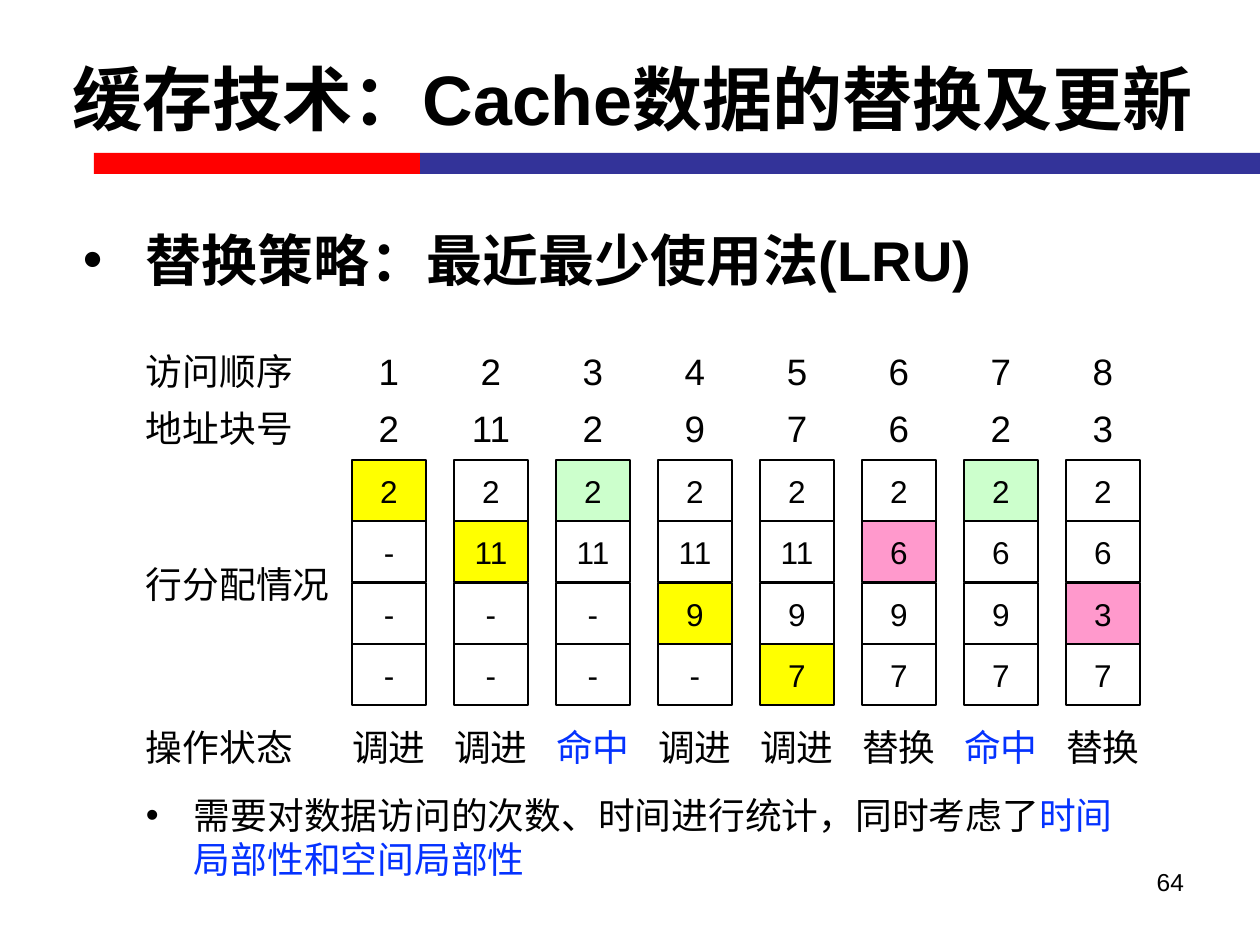
from lxml.etree import SubElement
from pptx import Presentation
from pptx.dml.color import RGBColor
from pptx.enum.shapes import MSO_SHAPE
from pptx.enum.text import MSO_ANCHOR, PP_ALIGN
from pptx.oxml.ns import qn
from pptx.util import Emu, Pt

BLACK, WHITE, BLUE = "000000", "FFFFFF", "0432FF"
YELLOW, GREEN, PINK = "FFFF00", "CCFFCC", "FF99CC"
CJK = "Noto Sans CJK SC"
LABEL = dict(size=21, insets=(0, 3, 0, 0), spacing=25.2)

# Offsets of the rows from the top of the diagram
ORDER_Y, BLOCK_Y, LINES_Y, LINES_LABEL_Y, STATE_Y = 0, 57, 114, 213, 376
ROW_H = 44

# Block number, cache lines, index of the line touched, its fill, state
STEPS = [
    ("2", "2 - - -", 0, YELLOW, "调进"),
    ("11", "2 11 - -", 1, YELLOW, "调进"),
    ("2", "2 11 - -", 0, GREEN, "命中"),
    ("9", "2 11 9 -", 2, YELLOW, "调进"),
    ("7", "2 11 9 7", 3, YELLOW, "调进"),
    ("6", "2 6 9 7", 1, PINK, "替换"),
    ("2", "2 6 9 7", 0, GREEN, "命中"),
    ("3", "2 6 3 7", 2, PINK, "替换"),
]


def px(n):
    return Emu(round(n * 914400 / 126))


def rgb(color):
    return RGBColor.from_string(color)


def write(sp, runs, size=18, font="Arial", bold=False, align=PP_ALIGN.LEFT,
          anchor=MSO_ANCHOR.TOP, insets=(13, 6, 13, 6), spacing=None, bullet=None):
    """Fill a shape with one paragraph; runs are (text, colour) pairs, bullet is (margin, hanging)."""
    tf = sp.text_frame
    tf.word_wrap = True
    tf.vertical_anchor = anchor
    tf.margin_left, tf.margin_top, tf.margin_right, tf.margin_bottom = map(px, insets)
    p = tf.paragraphs[0]
    if bullet:
        margin, hanging = bullet
        pPr = p._p.get_or_add_pPr()
        pPr.set("marL", str(px(margin)))
        pPr.set("indent", str(-px(hanging)))
        SubElement(pPr, qn("a:buFont"), typeface="Arial")
        SubElement(pPr, qn("a:buChar"), char="•")
    p.alignment = align
    p.space_before = Pt(0)
    if spacing:
        p.line_spacing = Pt(spacing)
    for text, color in runs:
        r = p.add_run()
        r.text = text
        r.font.size, r.font.bold, r.font.name = Pt(size), bold, font
        r.font.color.rgb = rgb(color)
        SubElement(r._r.get_or_add_rPr(), qn("a:ea"), typeface=font)


def add_text(shapes, box, text, color=BLACK, **fmt):
    write(shapes.add_textbox(*map(px, box)), [(text, color)], **fmt)


def add_rect(shapes, box, fill, outline=None):
    sp = shapes.add_shape(MSO_SHAPE.RECTANGLE, *map(px, box))
    sp.shadow.inherit = False
    sp.fill.solid()
    sp.fill.fore_color.rgb = rgb(fill)
    if outline:
        sp.line.color.rgb = rgb(outline)
        sp.line.width = Pt(1.38)
    else:
        sp.line.fill.background()
    return sp


def add_header(s, x, y, w, h):
    title = s.shapes.title
    title.left, title.top, title.width, title.height = map(px, (x, y, w, h))
    write(title, [("缓存技术：Cache数据的替换及更新", BLACK)], size=40, bold=True,
          align=PP_ALIGN.CENTER, anchor=MSO_ANCHOR.MIDDLE)
    bars = s.shapes.add_group_shape().shapes
    add_rect(bars, (x + 74, y + 134, 326, 21), "FF0000")
    add_rect(bars, (x + 400, y + 134, 840, 21), "333399")


def add_row_labels(s, x, y, w):
    labels = s.shapes.add_group_shape().shapes
    for text, dy in (("访问顺序", ORDER_Y), ("地址块号", BLOCK_Y),
                     ("行分配情况", LINES_LABEL_Y), ("操作状态", STATE_Y)):
        add_text(labels, (x, y + dy, w, ROW_H), text, font=CJK, **LABEL)


def add_step(s, x, y, w, order, step):
    """One access: order, block number, the four cache lines and the state."""
    block, lines, touched, fill, state = step
    column = s.shapes.add_group_shape().shapes
    state_color = BLUE if state == "命中" else BLACK
    for text, dy, color in ((str(order), ORDER_Y, BLACK), (block, BLOCK_Y, BLACK),
                            (state, STATE_Y, state_color)):
        add_text(column, (x, y + dy, w, ROW_H), text, color, align=PP_ALIGN.CENTER, **LABEL)
    for i, value in enumerate(lines.split()):
        cell = add_rect(column, (x, y + LINES_Y + i * 123 // 2, w, 61),
                        fill if i == touched else WHITE, BLACK)
        write(cell, [(value, BLACK)], align=PP_ALIGN.CENTER,
              anchor=MSO_ANCHOR.MIDDLE, insets=(0, 0, 0, 0))


def add_diagram(s, x, y):
    add_row_labels(s, x, y, 190)
    for i, step in enumerate(STEPS):
        add_step(s, x + 206 + i * 102, y, 74, i + 1, step)


def add_note(s, *box):
    sp = s.shapes.add_textbox(*map(px, box))
    write(sp, [("需要对数据访问的次数、时间进行统计，同时考虑了", BLACK),
               ("时间局部性和空间局部性", BLUE)], font=CJK, bullet=(48, 48), **LABEL)


def main():
    prs = Presentation()
    prs.slide_width, prs.slide_height = px(1260), px(945)
    s = prs.slides.add_slide(prs.slide_layouts[5])
    add_header(s, 20, 19, 1225, 157)
    add_text(s.shapes, (63, 214, 1134, 91), "替换策略：最近最少使用法(LRU)", size=32,
             bold=True, anchor=MSO_ANCHOR.MIDDLE, bullet=(70, 63))
    add_diagram(s, 146, 346)
    add_note(s, 146, 790, 994, 89)
    add_text(s.shapes, (903, 861, 294, 66), "64", size=14, align=PP_ALIGN.RIGHT)
    prs.save("out.pptx")


if __name__ == "__main__":
    main()
